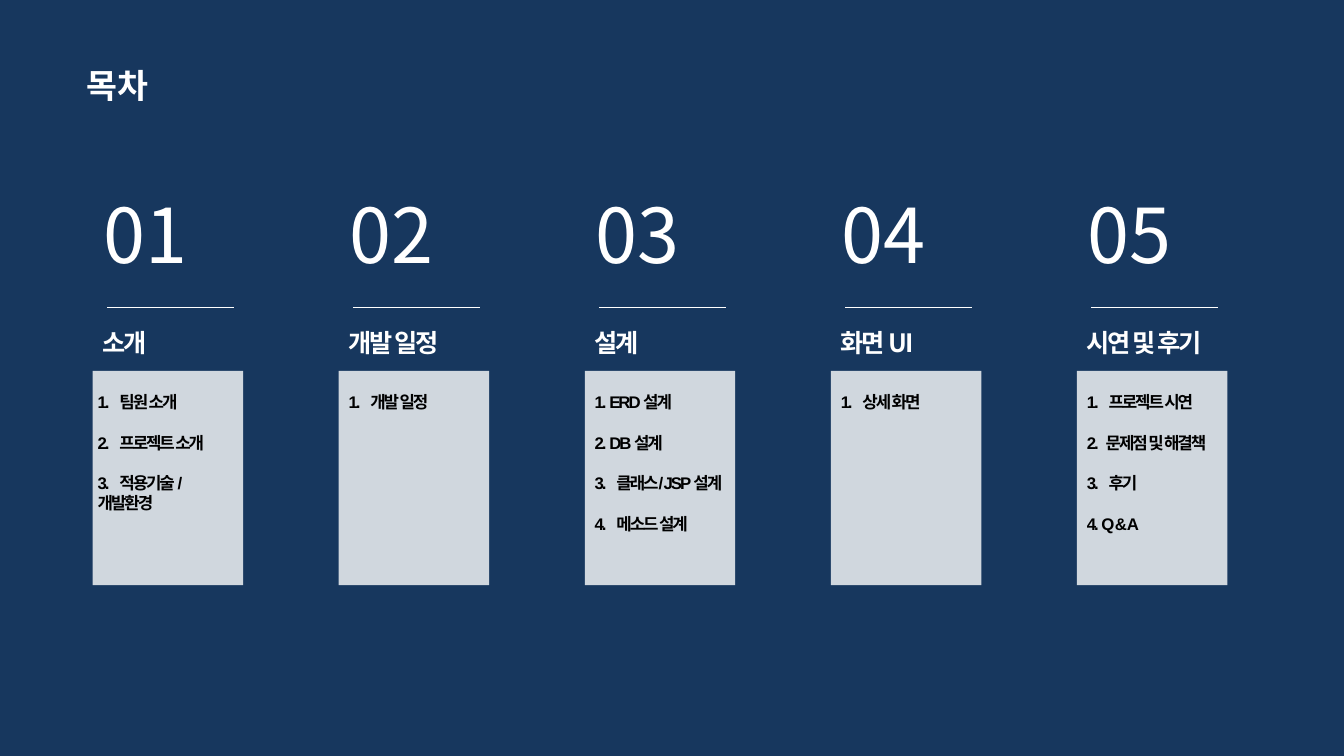
"""Build the contents slide: five numbered sections with their topics."""
from lxml.etree import SubElement
from pptx import Presentation
from pptx.dml.color import RGBColor
from pptx.enum.shapes import MSO_CONNECTOR as Connector, MSO_SHAPE as Preset
from pptx.oxml.ns import qn
from pptx.util import Pt

NAVY = RGBColor(0x17, 0x37, 0x5E)
WHITE = RGBColor(0xFF, 0xFF, 0xFF)
BLACK = RGBColor(0x00, 0x00, 0x00)
KOREAN_FONT = "Noto Sans CJK KR"
WIDE_TAB, MIDDLE_TAB, NARROW_TAB = 15.5, 13.5, 10.5
FIRST_LEFT = 66.25
COLUMN_PITCH = 175.75

SECTIONS = [
    ("소개", 62.75, [(WIDE_TAB, "팀원 소개"), (WIDE_TAB, "프로젝트 소개"),
                   (WIDE_TAB, "적용기술 / 개발환경")]),
    ("개발 일정", FIRST_LEFT, [(WIDE_TAB, "개발 일정")]),
    ("설계", FIRST_LEFT, [(NARROW_TAB, "ERD 설계"), (NARROW_TAB, "DB 설계"),
                        (WIDE_TAB, "클래스/ JSP 설계"), (WIDE_TAB, "메소드 설계")]),
    ("화면 UI", FIRST_LEFT, [(WIDE_TAB, "상세 화면")]),
    ("시연 및 후기", FIRST_LEFT, [(WIDE_TAB, "프로젝트 시연"), (MIDDLE_TAB, "문제점 및 해결책"),
                            (WIDE_TAB, "후기"), (NARROW_TAB, "Q & A")]),
]


def add_text(lines, left, top, width, height, size, font=KOREAN_FONT,
             color=WHITE, bold=True, spacing=0, gap=0, tabs=()):
    box = slide.shapes.add_textbox(Pt(left), Pt(top), Pt(width), Pt(height))
    frame = box.text_frame
    frame.word_wrap = True
    for index, line in enumerate(lines):
        paragraph = frame.paragraphs[0] if index == 0 else frame.add_paragraph()
        if tabs:
            tab_list = SubElement(paragraph._p.get_or_add_pPr(), qn("a:tabLst"))
            SubElement(tab_list, qn("a:tab"), pos=str(Pt(tabs[index])), algn="l")
        if index:
            paragraph.space_before = Pt(gap)
        run = paragraph.add_run()
        run.text = line
        run.font.size = Pt(size)
        run.font.bold = bold
        run.font.color.rgb = color
        run.font.name = font
        properties = run._r.get_or_add_rPr()
        properties.set("spc", str(int(spacing * 100)))
        SubElement(properties, qn("a:ea"), typeface=font)


presentation = Presentation()
presentation.slide_width = Pt(960)
presentation.slide_height = Pt(540)
slide = presentation.slides.add_slide(presentation.slide_layouts[6])
slide.background.fill.solid()
slide.background.fill.fore_color.rgb = NAVY

add_text(["목차"], 54.75, 43, 148, 36, 24)

for column, (heading, topics_left, topics) in enumerate(SECTIONS):
    offset = column * COLUMN_PITCH
    left = FIRST_LEFT + offset

    panel = slide.shapes.add_shape(Preset.RECTANGLE, Pt(left), Pt(265), Pt(107.5), Pt(153))
    panel.shadow.inherit = False
    panel.fill.solid()
    panel.fill.fore_color.rgb = WHITE
    panel.line.fill.background()
    panel_color = panel.fill._xPr.find(qn("a:solidFill"))[0]
    SubElement(panel_color, qn("a:alpha"), val="80000")

    add_text([f"{column + 1:02}"], left + 0.5, 130.5, 107, 73, 54, bold=False)

    rule = slide.shapes.add_connector(
        Connector.STRAIGHT, Pt(left + 10.25), Pt(219.5), Pt(left + 101), Pt(219.5))
    rule.line.color.rgb = WHITE
    rule.line.width = Pt(0.75)
    SubElement(rule._element.spPr, qn("a:effectLst"))

    add_text([heading], left, 230.5, 107.5, 29, 18, spacing=-1.5)
    add_text([f"{number}.\t{topic}" for number, (tab, topic) in enumerate(topics, 1)],
             topics_left + offset, 276.5, 108, 22, 12, font="Arial", color=BLACK,
             spacing=-1.5, gap=14.5, tabs=[tab for tab, topic in topics])

presentation.save("out.pptx")
